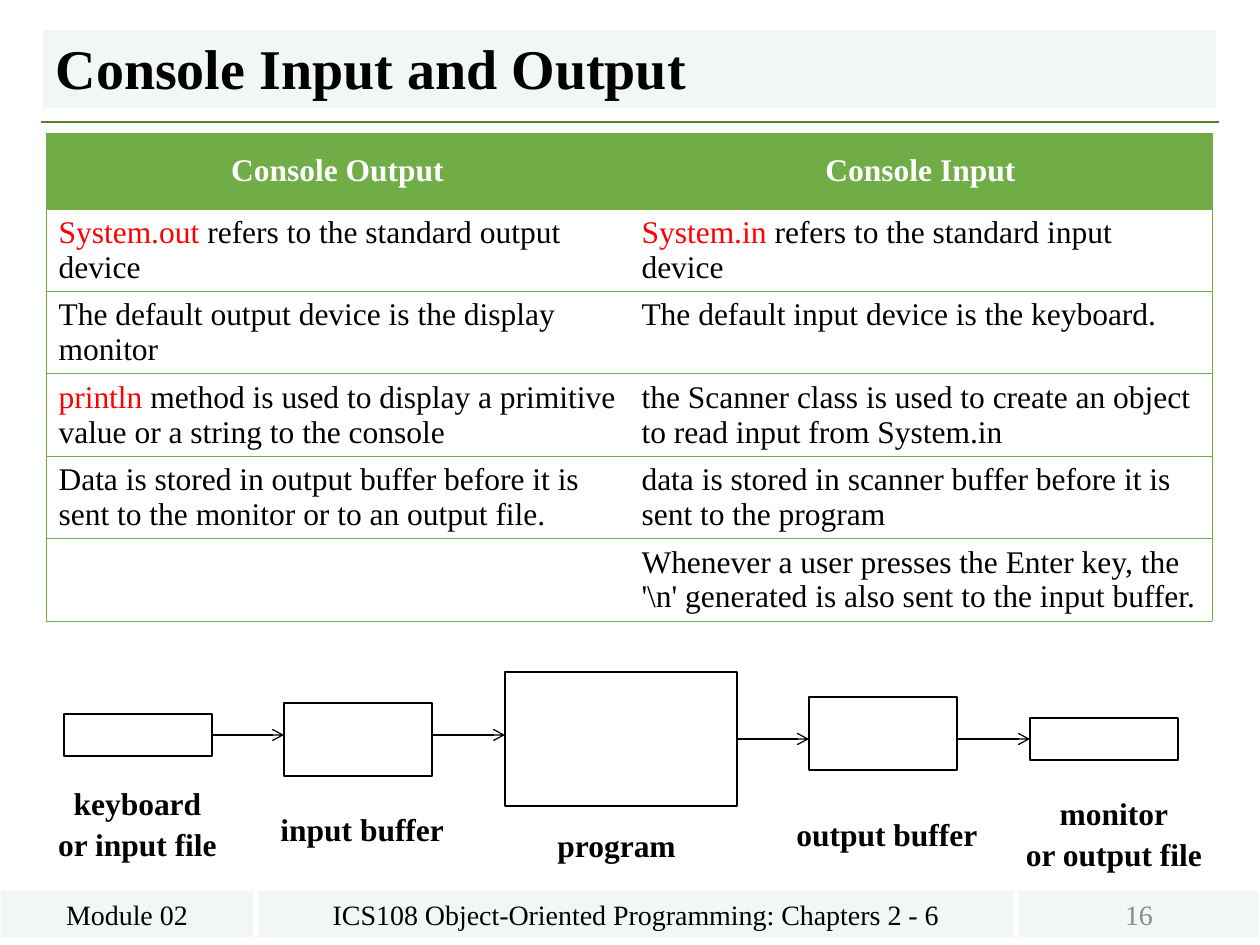
import pptx
import pptx.util
import pptx.dml.color
import pptx.enum.shapes
import pptx.enum.text
import pptx.oxml
import pptx.oxml.ns
from lxml import etree

# Content
FONT = "Times New Roman"
COLORS = {"band": "F1F7F4", "rule": "548235", "table": "70AD47", "ink": "000000",
          "code": "FF0000", "white": "FFFFFF", "number": "8C8C8C"}
TITLE = "Console Input and Output"
HEADERS = ["Console Output", "Console Input"]
# Each cell: (highlighted start, remaining text)
ROWS = [
    [("System.out", " refers to the standard output device"),
     ("System.in", " refers to the standard input device")],
    [("", "The default output device is the display monitor"),
     ("", "The default input device is the keyboard.")],
    [("println", " method is used to display a primitive value or a string to the console"),
     ("", "the Scanner class is used to create an object to read input from System.in")],
    [("", "Data is stored in output buffer before it is sent to the monitor or to an output file."),
     ("", "data is stored in scanner buffer before it is sent to the program")],
    [("", ""),
     ("", "Whenever a user presses the Enter key, the '\\n' generated is also sent to the input buffer.")],
]
# Stage: box, label lines, label box
STAGES = [
    ((64, 714, 148, 42), ["keyboard", "or input file"], (43, 778, 189, 89)),
    ((284, 703, 148, 73), ["input buffer"], (268, 804, 189, 51)),
    ((505, 672, 232, 134), ["program"], (545, 820, 168, 51)),
    ((809, 697, 148, 73), ["output buffer"], (784, 809, 221, 51)),
    ((1030, 718, 148, 42), ["monitor", "or output file"], (1009, 788, 210, 89)),
]
# Arrow after each stage: height, joined at begin, joined at end
ARROWS = [(735, True, False), (735, False, False), (739, True, False), (739, False, True)]
# Footer: left, width, text, colour
FOOTER = [
    (1, 252, "Module 02", "ink"),
    (258, 756, "ICS108 Object-Oriented Programming: Chapters 2 - 6", "ink"),
    (1019, 240, "16", "number"),
]

# Helpers
ALIGN = pptx.enum.text.PP_ALIGN
ANCHOR = pptx.enum.text.MSO_ANCHOR
qn = pptx.oxml.ns.qn


def px(n):
    return round(n * 914400 / 126)


def rgb(name):
    return pptx.dml.color.RGBColor.from_string(COLORS[name])


def style(p, size, color="ink", bold=False, align=ALIGN.LEFT):
    p.alignment = align
    p.font.name = FONT
    p.font.size = pptx.util.Pt(size)
    p.font.bold = bold
    p.font.color.rgb = rgb(color)


def add_rect(box, fill=None, line=None):
    sp = s.shapes.add_shape(pptx.enum.shapes.MSO_SHAPE.RECTANGLE, *map(px, box))
    sp.shadow.inherit = False
    if fill:
        sp.fill.solid()
        sp.fill.fore_color.rgb = rgb(fill)
    else:
        sp.fill.background()
    if line:
        sp.line.color.rgb = rgb(line)
        sp.line.width = pptx.util.Pt(0.75)
    else:
        sp.line.fill.background()
    return sp


def add_line(x1, y1, x2, y2, color, width):
    c = s.shapes.add_connector(pptx.enum.shapes.MSO_CONNECTOR.STRAIGHT,
                               px(x1), px(y1), px(x2), px(y2))
    c.line.color.rgb = rgb(color)
    c.line.width = pptx.util.Pt(width)
    etree.SubElement(c._element.spPr, qn("a:effectLst"))
    return c


def set_borders(cell, shown):
    tcPr = cell._tc.get_or_add_tcPr()
    for i, side in enumerate("LRTB"):
        ln = etree.Element(qn("a:ln" + side), w=str(pptx.util.Pt(0.5)))
        if side in shown:
            fill = etree.SubElement(ln, qn("a:solidFill"))
            etree.SubElement(fill, qn("a:srgbClr"), val=COLORS["table"])
        else:
            etree.SubElement(ln, qn("a:noFill"))
        tcPr.insert(i, ln)


prs = pptx.Presentation()
prs.slide_width, prs.slide_height = px(1260), px(945)
s = prs.slides.add_slide(prs.slide_layouts[5])

# Title and rule
sp = s.shapes.title
sp.left, sp.top, sp.width, sp.height = map(px, (43, 30, 1173, 78))
sp.fill.solid()
sp.fill.fore_color.rgb = rgb("band")
tf = sp.text_frame
tf.text = TITLE
tf.auto_size = pptx.enum.text.MSO_AUTO_SIZE.NONE
tf.vertical_anchor = ANCHOR.BOTTOM
tf.paragraphs[0].line_spacing = 0.9
style(tf.paragraphs[0], 32, bold=True)
add_line(41, 122, 1219, 122, "rule", 1.5)

# Footer
for left, width, text, color in FOOTER:
    sp = add_rect((left, 891, width, 46), fill="band")
    tf = sp.text_frame
    tf.text = text
    tf.vertical_anchor = ANCHOR.MIDDLE
    style(tf.paragraphs[0], 16, color, align=ALIGN.CENTER)

# Table
HEAD_H, ROW_H = 76, 82
table = s.shapes.add_table(len(ROWS) + 1, 2, px(46), px(133), px(1166),
                           px(HEAD_H + ROW_H * len(ROWS))).table
table.horz_banding = False
for i, row in enumerate([[("", h) for h in HEADERS]] + ROWS):
    head = i == 0
    table.rows[i].height = px(HEAD_H if head else ROW_H)
    for j, (code, text) in enumerate(row):
        cell = table.cell(i, j)
        cell.fill.solid()
        cell.fill.fore_color.rgb = rgb("table" if head else "white")
        set_borders(cell, "TB" + "LR"[j])
        p = cell.text_frame.paragraphs[0]
        if head:
            cell.vertical_anchor = ANCHOR.MIDDLE
            style(p, 18, "white", True, ALIGN.CENTER)
        else:
            style(p, 18)
        if code:
            r = p.add_run()
            r.text = code
            r.font.color.rgb = rgb("code")
        if text:
            p.add_run().text = text

# Data flow boxes and labels
boxes = []
for box, lines, label in STAGES:
    boxes.append(add_rect(box, line="ink"))
    tf = s.shapes.add_textbox(*map(px, label)).text_frame
    tf.word_wrap = True
    tf.text = "\n".join(lines)
    for k, p in enumerate(tf.paragraphs):
        style(p, 18, bold=True, align=ALIGN.CENTER if len(lines) > 1 else ALIGN.LEFT)
        if k:
            p.space_before = pptx.util.Pt(1.5)

# Data flow arrows
for k, (y, join_begin, join_end) in enumerate(ARROWS):
    left, _, width, _ = STAGES[k][0]
    c = add_line(left + width, y, STAGES[k + 1][0][0], y, "ink", 0.75)
    etree.SubElement(c.line._get_or_add_ln(), qn("a:tailEnd"), type="arrow")
    if join_begin:
        c.begin_connect(boxes[k], 3)
    if join_end:
        c.end_connect(boxes[k + 1], 1)

prs.save("out.pptx")
